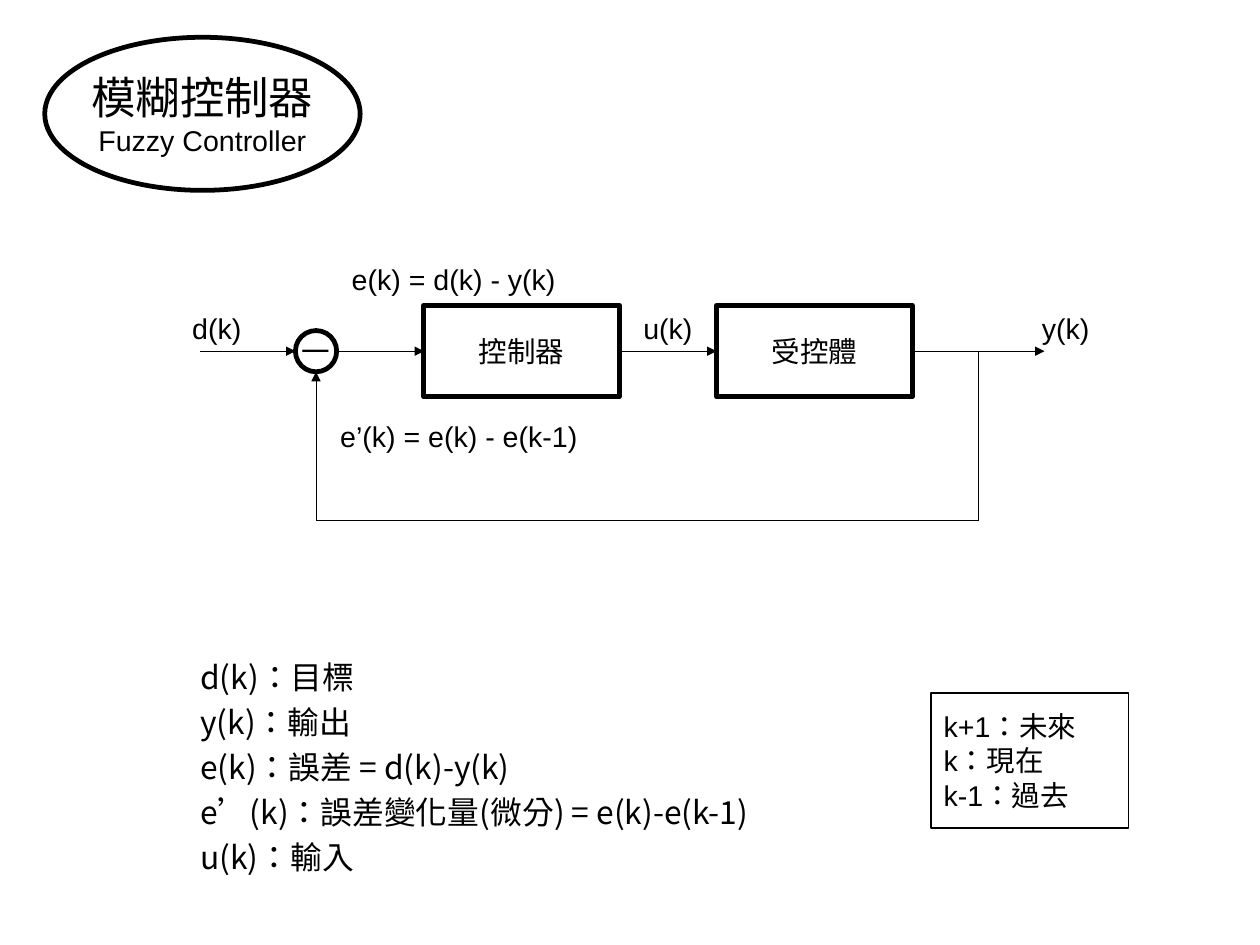
from lxml.etree import SubElement
from pptx import Presentation
from pptx.dml.color import RGBColor
from pptx.enum.shapes import MSO_CONNECTOR, MSO_SHAPE
from pptx.enum.text import MSO_ANCHOR, PP_ALIGN
from pptx.oxml.ns import qn
from pptx.util import Pt

COLORS = {"ink": "000000"}
LATIN = "Arial"
CJK = "Noto Sans CJK SC"
SIGNAL_Y = 221.2
RETURN_Y = 327.8
SUM_X = 199.1
BRANCH_X = 616.2


def ink():
    """Return the colour of all lines and text."""
    return RGBColor.from_string(COLORS["ink"])


def write_text(box, text, size=18, font=LATIN, align=PP_ALIGN.CENTER,
               anchor=MSO_ANCHOR.TOP, margins=(7.2, 3.6), wrap=True):
    """Fill a box with one paragraph per line of text; size may be a list."""
    frame = box.text_frame
    frame.word_wrap = wrap
    frame.vertical_anchor = anchor
    frame.margin_left = frame.margin_right = Pt(margins[0])
    frame.margin_top = frame.margin_bottom = Pt(margins[1])
    lines = text.split("\n")
    sizes = size if isinstance(size, list) else [size] * len(lines)
    for index, (line, points) in enumerate(zip(lines, sizes)):
        para = frame.paragraphs[0] if index == 0 else frame.add_paragraph()
        para.alignment = align
        span = para.add_run()
        span.text = line
        span.font.size = Pt(points)
        span.font.name = font
        span.font.color.rgb = ink()
        span.font._element.set("lang", "zh-TW")
        SubElement(span.font._element, qn("a:ea")).set("typeface", CJK)


def add_outline(page, kind, left, top, width, height, text, weight=3, **style):
    """Add an unfilled shape with a black border and text."""
    shape = page.shapes.add_shape(kind, Pt(left), Pt(top), Pt(width), Pt(height))
    shape.shadow.inherit = False
    shape.fill.background()
    shape.line.color.rgb = ink()
    shape.line.width = Pt(weight)
    style = {"margins": (8.5, 5), "wrap": False, **style}
    write_text(shape, text, anchor=MSO_ANCHOR.MIDDLE, **style)


def add_label(page, left, top, width, height, text, **style):
    """Add a plain text box."""
    box = page.shapes.add_textbox(Pt(left), Pt(top), Pt(width), Pt(height))
    write_text(box, text, **style)


def add_signal(page, start, end, arrow=True):
    """Add a hairline, with an arrowhead at its end if wanted."""
    signal = page.shapes.add_connector(
        MSO_CONNECTOR.STRAIGHT, *(Pt(value) for value in (*start, *end)))
    signal.line.color.rgb = ink()
    outline = signal.line._get_or_add_ln()
    outline.set("w", "0")
    if arrow:
        SubElement(outline, qn("a:tailEnd")).set("type", "triangle")
    SubElement(signal._element.spPr, qn("a:effectLst"))


def add_control_loop(page):
    """Draw the feedback loop with its blocks, signals and labels."""
    for left, name in [(266.9, "控制器"), (451.4, "受控體")]:
        add_outline(page, MSO_SHAPE.RECTANGLE, left, 192.4, 123.3, 57.6, name)
    add_outline(page, MSO_SHAPE.OVAL, SUM_X - 13, SIGNAL_Y - 13, 26, 26, "一")

    for start, end in [(126, 186.2), (212, 267.1), (390.4, 451.4), (574.7, 658)]:
        add_signal(page, (start, SIGNAL_Y), (end, SIGNAL_Y))
    add_signal(page, (BRANCH_X, SIGNAL_Y), (BRANCH_X, RETURN_Y), arrow=False)
    add_signal(page, (BRANCH_X, RETURN_Y), (SUM_X, RETURN_Y), arrow=False)
    add_signal(page, (SUM_X, RETURN_Y), (SUM_X, SIGNAL_Y + 13))

    for left, name in [(107.8, "d(k)"), (392, "u(k)"), (642.6, "y(k)")]:
        add_label(page, left, 192.4, 57.6, 27.4, name)
    add_label(page, 211.7, 161.6, 148.3, 27.4, "e(k) = d(k) - y(k)")
    add_label(page, 206.6, 260.2, 164.9, 27.4, "e’(k) = e(k) - e(k-1)")


def add_definitions(page):
    """List the meaning of each signal at an equal pitch."""
    definitions = ["d(k)：目標", "y(k)：輸出", "e(k)：誤差 = d(k)-y(k)",
                   "e’(k)：誤差變化量(微分) = e(k)-e(k-1)", "u(k)：輸入"]
    for row, text in enumerate(definitions):
        add_label(page, 119.1, 410.9 + 28.3 * row, 453.6, 36, text,
                  size=20, font=CJK, align=PP_ALIGN.LEFT)


def main():
    """Build the fuzzy controller slide."""
    deck = Presentation()
    deck.slide_width, deck.slide_height = Pt(793.75), Pt(595.25)
    page = deck.slides.add_slide(deck.slide_layouts[6])
    add_outline(page, MSO_SHAPE.OVAL, 28.2, 23.5, 198.7, 96.4,
                "模糊控制器\nFuzzy Controller", size=[28, 18])
    add_control_loop(page)
    add_outline(page, MSO_SHAPE.RECTANGLE, 586.6, 436.4, 124.5, 85,
                "k+1：未來\nk：現在\nk-1：過去", weight=1,
                align=PP_ALIGN.LEFT, margins=(7.9, 4.3), wrap=True)
    add_definitions(page)
    deck.save("out.pptx")


if __name__ == "__main__":
    main()
